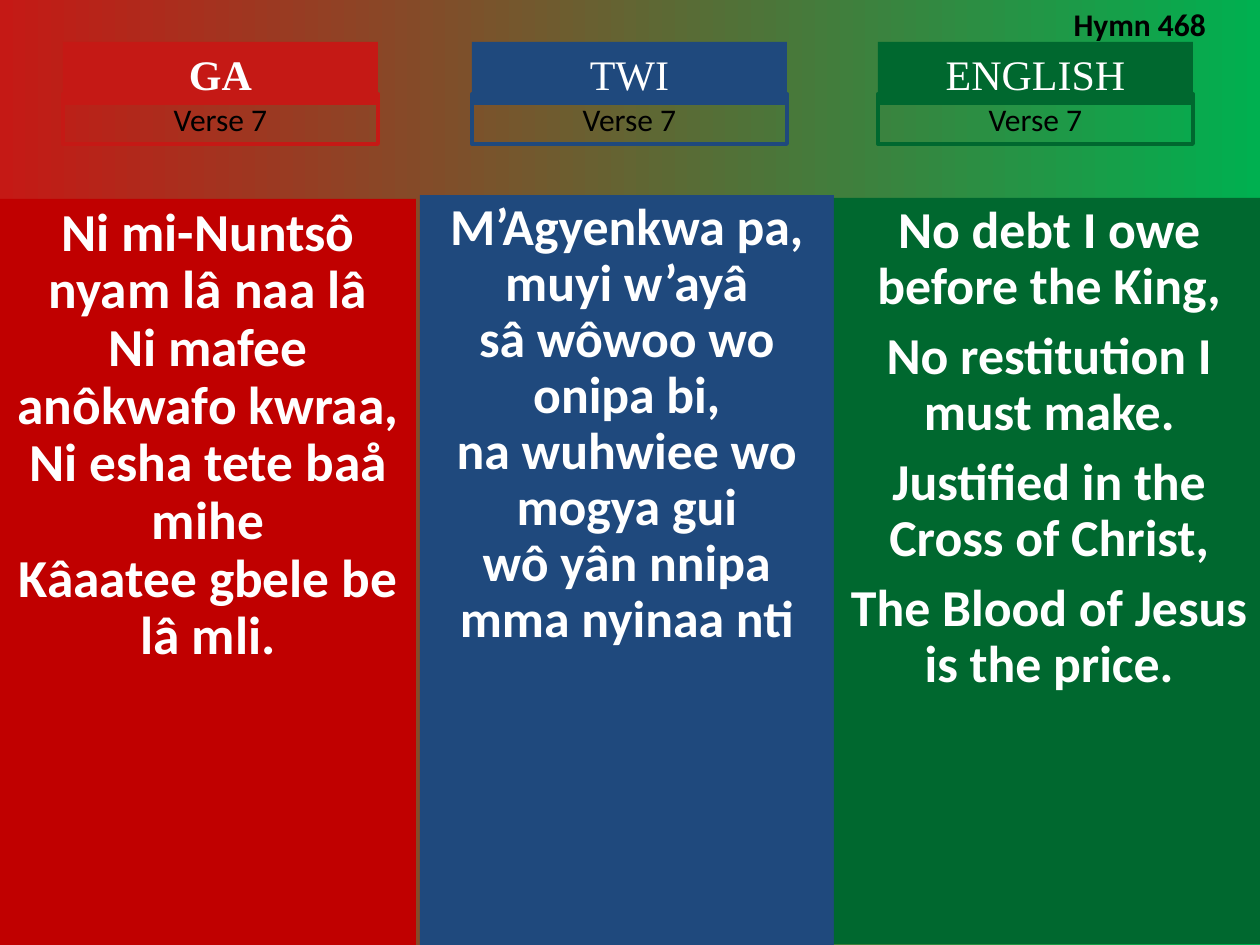
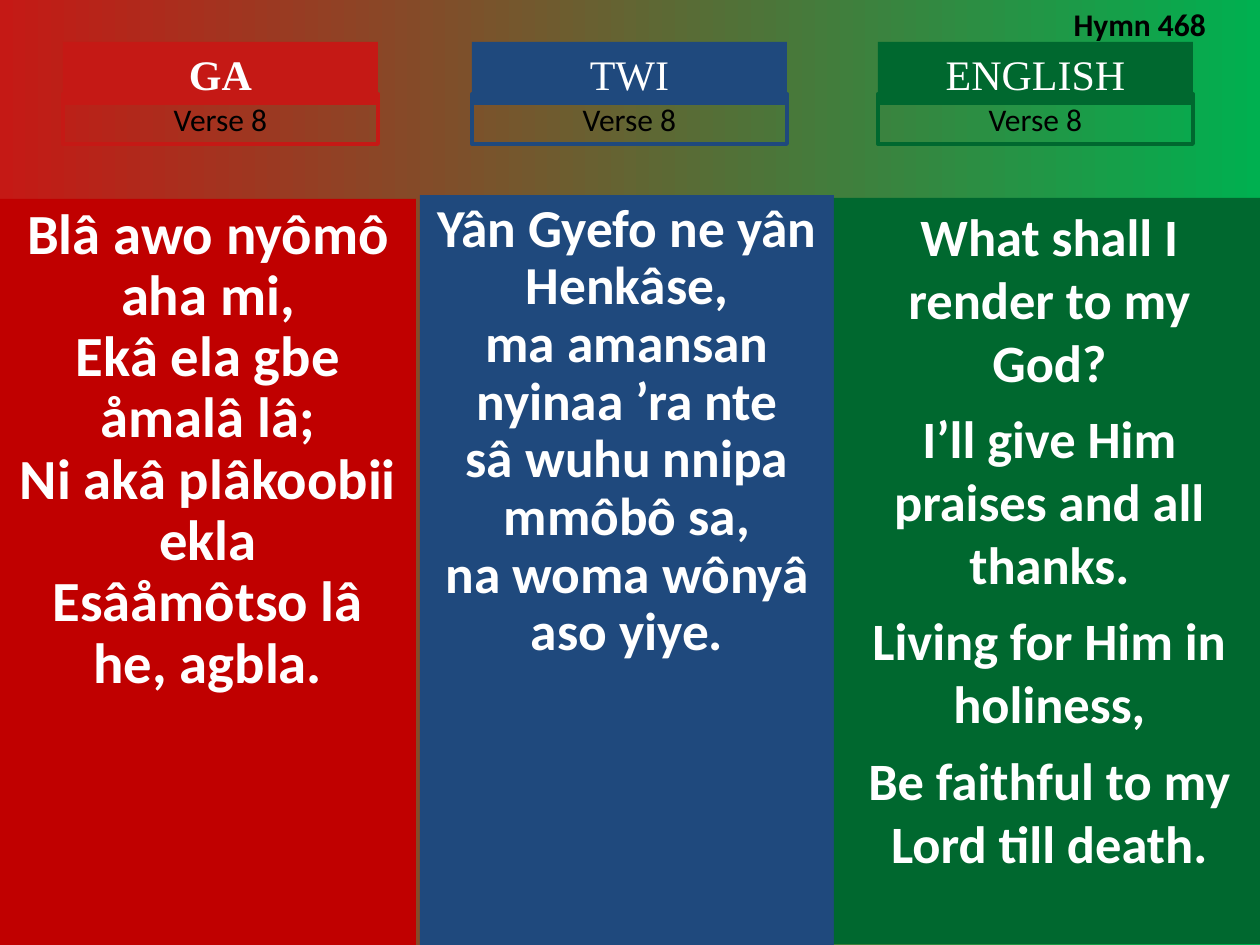
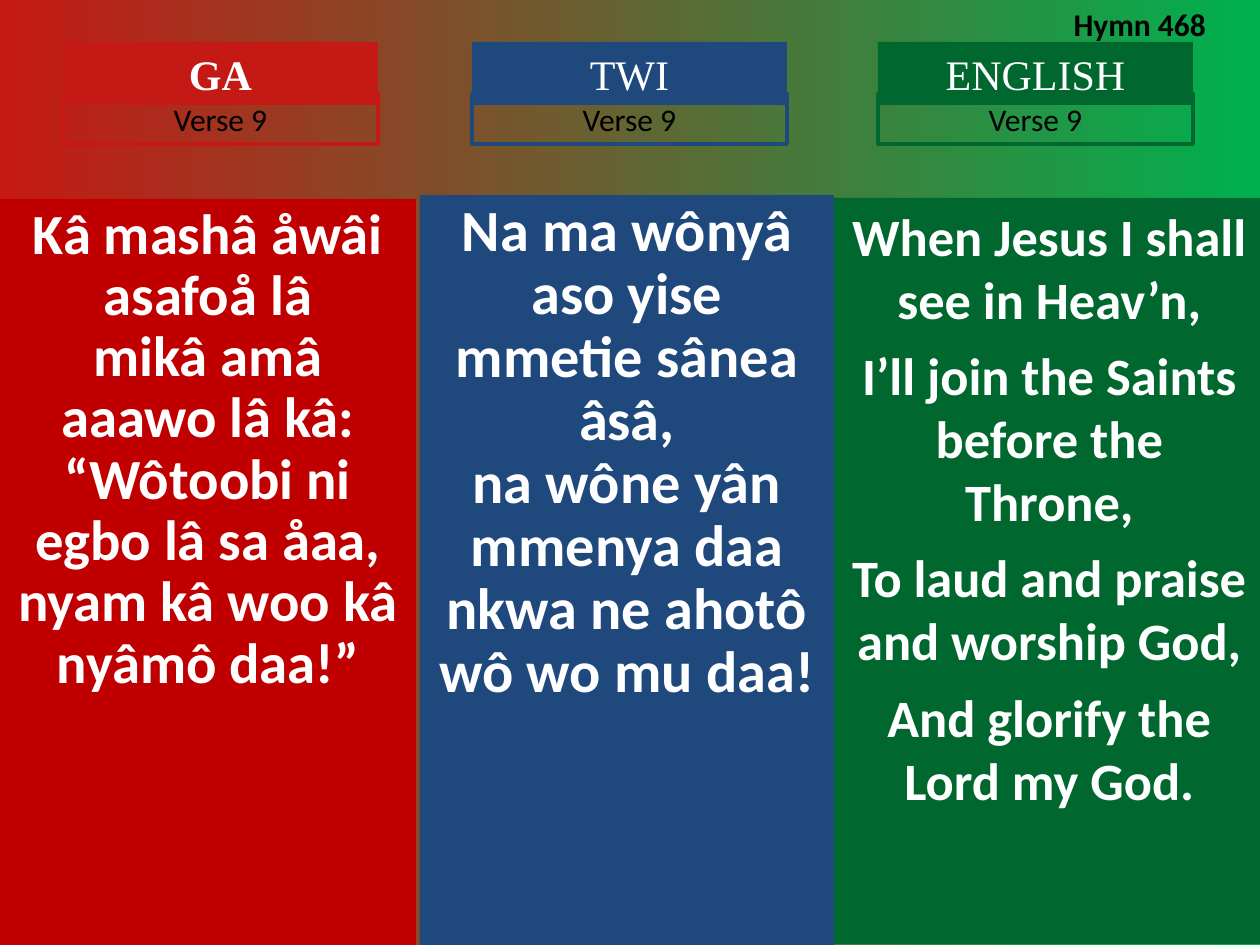
from collections import namedtuple
from dataclasses import dataclass

from pptx import Presentation
from pptx.dml.color import RGBColor
from pptx.enum.shapes import MSO_SHAPE
from pptx.enum.text import MSO_ANCHOR, MSO_AUTO_SIZE, PP_ALIGN
from pptx.util import Pt

SCALE = 914400 / 126


@dataclass(frozen=True)
class Theme:
    red: str = "C51915"
    lime: str = "00B050"
    white: str = "FFFFFF"
    black: str = "000000"
    body: str = "Calibri"
    serif: str = "Times New Roman"
    head: int = 24
    label: int = 18
    rule: float = 2.25


THEME = Theme()
Column = namedtuple("Column", "name bold left tint fill panel")
Text = namedtuple("Text", "size lines tight gap", defaults=(0.9, 0))

COLUMNS = [
    Column("GA", True, 63, THEME.red, "C00000", (0, 199, 416, 746)),
    Column("TWI", False, 472, "1F497D", "1F497D", (420, 195, 414, 750)),
    Column("ENGLISH", False, 878, "00682F", "00682F", (834, 198, 431, 746)),
]

VERSES = {
    7: [
        Text(30.5, [
            "Ni mi-Nuntsô nyam lâ naa lâ",
            "Ni mafee anôkwafo kwraa,",
            "Ni esha tete baå mihe",
            "Kâaatee gbele be lâ mli.",
        ]),
        Text(29.6, [
            "M’Agyenkwa pa, muyi w’ayâ",
            "sâ wôwoo wo onipa bi,",
            "na wuhwiee wo mogya gui",
            "wô yân nnipa mma nyinaa nti",
        ]),
        Text(29.6, [
            "No debt I owe before the King,",
            "No restitution I must make.",
            "Justified in the Cross of Christ,",
            "The Blood of Jesus is the price.",
        ], gap=8),
    ],
    8: [
        Text(32.4, [
            "Blâ awo nyômô aha mi,",
            "Ekâ ela gbe åmalâ lâ;",
            "Ni akâ plâkoobii ekla",
            "Esâåmôtso lâ he, agbla.",
        ]),
        Text(30.5, [
            "Yân Gyefo ne yân Henkâse,",
            "ma amansan nyinaa ’ra nte",
            "sâ wuhu nnipa mmôbô sa,",
            "na woma wônyâ aso yiye.",
        ]),
        Text(30, [
            "What shall I render to my God?",
            "I’ll give Him praises and all thanks.",
            "Living for Him in holiness,",
            "Be faithful to my Lord till death.",
        ], 1.0, 7.5),
    ],
    9: [
        Text(32.4, [
            "Kâ mashâ åwâi asafoå lâ",
            "mikâ amâ aaawo lâ kâ:",
            "“Wôtoobi ni egbo lâ sa åaa, nyam kâ woo kâ nyâmô daa!”",
        ]),
        Text(33.3, [
            "Na ma wônyâ aso yise mmetie sânea âsâ,",
            "na wône yân mmenya daa nkwa ne ahotô wô wo mu daa!",
        ]),
        Text(30, [
            "When Jesus I shall see in Heav’n,",
            "I’ll join the Saints before the Throne,",
            "To laud and praise and worship God,",
            "And glorify the Lord my God.",
        ], 1.0, 7.5),
    ],
}


def px(value):
    return round(value * SCALE)


def rgb(color):
    return RGBColor.from_string(color)


def write(shape, text, color, face=THEME.body, bold=False,
          align=PP_ALIGN.CENTER, fit=MSO_AUTO_SIZE.SHAPE_TO_FIT_TEXT):
    frame = shape.text_frame
    frame.word_wrap = True
    frame.auto_size = fit
    frame.vertical_anchor = MSO_ANCHOR.TOP
    for index, line in enumerate(text.lines):
        para = frame.add_paragraph() if index else frame.paragraphs[0]
        para.text = line
        para.alignment = align
        para.line_spacing = text.tight
        para.space_before = Pt(text.gap if index else 0)
        font = para.font
        font.name = face
        font.size = Pt(text.size)
        font.bold = bold
        font.color.rgb = rgb(color)


def add_box(slide, place, fill=None, line=None):
    box = slide.shapes.add_shape(MSO_SHAPE.RECTANGLE, *map(px, place))
    box.shadow.inherit = False
    if fill:
        box.fill.solid()
        box.fill.fore_color.rgb = rgb(fill)
    else:
        box.fill.background()
    if line:
        box.line.color.rgb = rgb(line)
        box.line.width = Pt(THEME.rule)
    else:
        box.line.fill.background()
    return box


def add_panel(slide, column, text):
    panel = add_box(slide, column.panel, column.fill)
    write(panel, text, THEME.white, bold=True, fit=MSO_AUTO_SIZE.NONE)


def add_head(slide, column, verse):
    head = add_box(slide, (column.left, 42, 315, 63), column.tint)
    write(head, Text(THEME.head, [column.name], 1.0), THEME.white,
          THEME.serif, column.bold)
    label = add_box(slide, (column.left, 94, 315, 50), line=column.tint)
    write(label, Text(THEME.label, [f"Verse {verse}"], 1.0), THEME.black)


def set_title(slide, words):
    title = slide.shapes.title
    title.left, title.top, title.width, title.height = map(
        px, (1061, -1, 189, 50))
    write(title, Text(THEME.label, [words], 1.0), THEME.black, bold=True,
          align=PP_ALIGN.LEFT)


def set_back(master):
    fill = master.background.fill
    fill.gradient()
    fill.gradient_angle = 0
    for stop, color in zip(fill.gradient_stops, (THEME.red, THEME.lime)):
        stop.color.rgb = rgb(color)


def main():
    deck = Presentation()
    deck.slide_width, deck.slide_height = px(1260), px(945)
    set_back(deck.slide_master)
    for verse, texts in VERSES.items():
        slide = deck.slides.add_slide(deck.slide_layouts[5])
        set_title(slide, "Hymn 468")
        for column, text in zip(COLUMNS, texts):
            add_panel(slide, column, text)
            add_head(slide, column, verse)
    deck.save("out.pptx")


if __name__ == "__main__":
    main()
